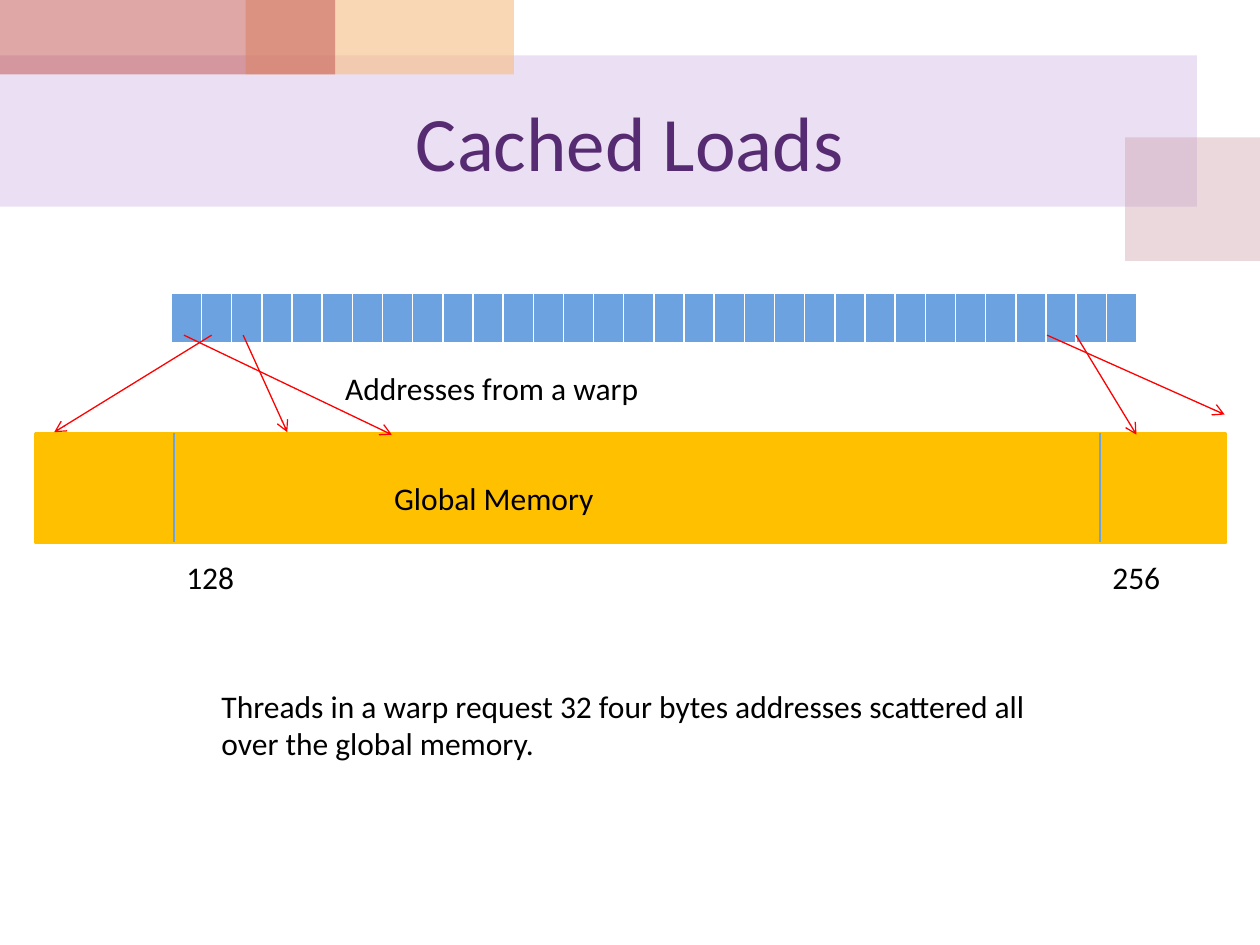
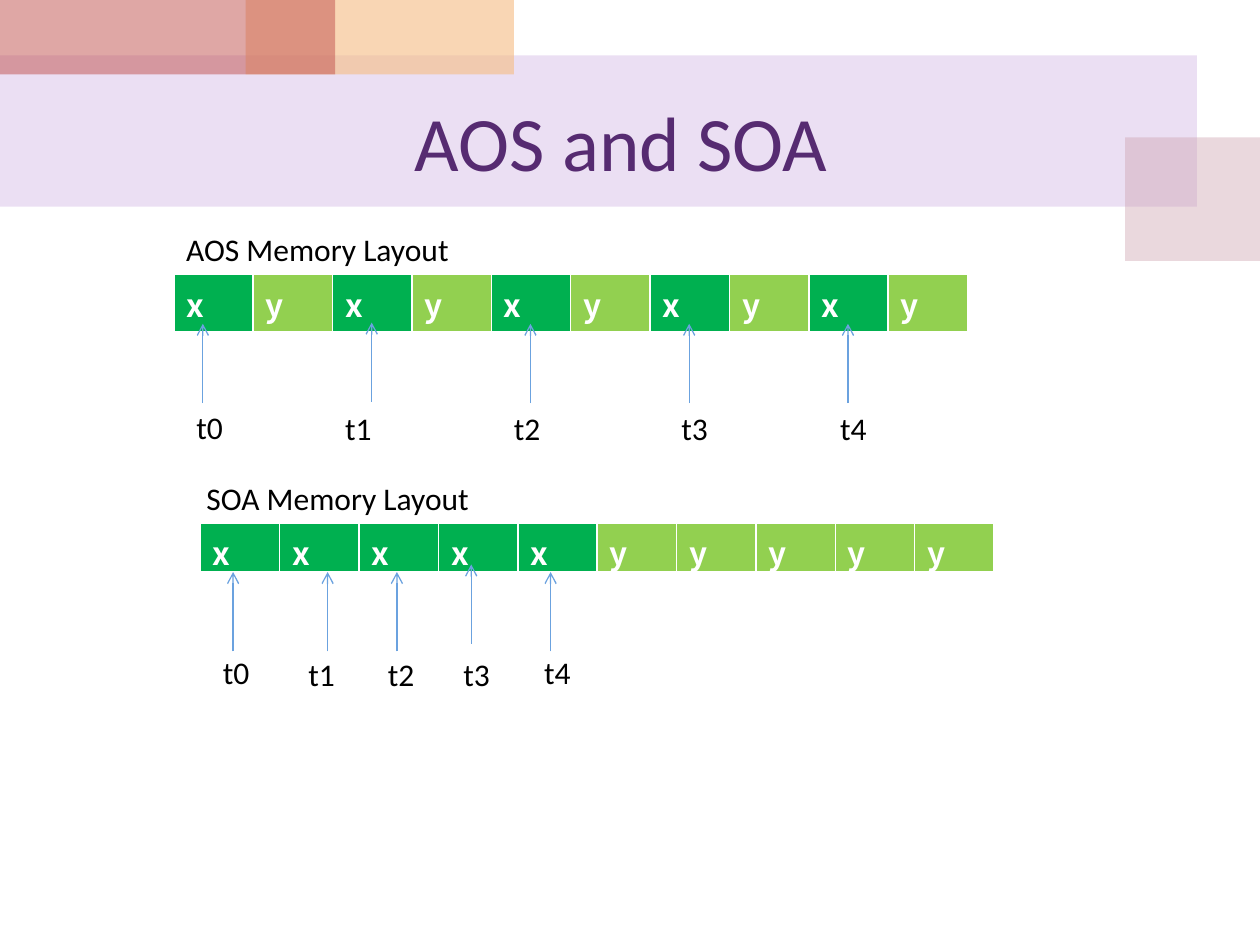
from lxml.etree import SubElement
from pptx import Presentation
from pptx.dml.color import RGBColor
from pptx.enum.shapes import MSO_CONNECTOR, MSO_SHAPE
from pptx.enum.text import MSO_ANCHOR, MSO_AUTO_SIZE, PP_ALIGN
from pptx.oxml.ns import qn
from pptx.util import Inches, Pt

COLORS = {
    "title": "562B71", "text": "000000", "white": "FFFFFF",
    "lilac": "BF98D8", "rose": "CC9EAC", "peach": "F5BC83", "brick": "C0504D",
    "memory": "FFC000", "blue": "6BA2DF", "red": "FF0000",
    "x": "00B050", "y": "92D050",
}
FORMATS = {
    "title": {"name": "Calibri", "size": Pt(44), "color": "title"},
    "label": {"name": "Calibri", "size": Pt(18), "color": "text"},
    "cell": {"name": "Noto Sans CJK KR", "size": Pt(18), "bold": True, "color": "white"},
}
# Master bands, back to front: box, colour, opacity in percent
BANDS = [
    ((0, 0.44, 9.5, 1.2), "lilac", 30),
    ((8.93, 1.09, 1.07, 0.98), "rose", 40),
    ((1.95, 0, 2.13, 0.59), "peach", 60),
    ((0, 0, 2.66, 0.59), "brick", 50),
]
BORDERS = {"lnL": 1, "lnR": 1, "lnT": 1, "lnB": 3}


def rgb(color):
    return RGBColor.from_string(COLORS[color])


def inches(*lengths):
    return [Inches(length) for length in lengths]


class Deck:
    def __init__(self):
        self.prs = Presentation()
        self.prs.slide_width, self.prs.slide_height = inches(10, 7.5)
        self.slide = None

    def style(self, font, kind):
        for attribute, value in FORMATS[kind].items():
            if attribute == "color":
                font.color.rgb = rgb(value)
            else:
                setattr(font, attribute, value)

    def new_slide(self, heading):
        self.slide = self.prs.slides.add_slide(self.prs.slide_layouts[5])
        title = self.slide.shapes.title
        title.left, title.top, title.width, title.height = inches(0.5, 0.59, 9, 1.05)
        frame = title.text_frame
        frame.text = heading
        frame.vertical_anchor = MSO_ANCHOR.MIDDLE
        frame.paragraphs[0].alignment = PP_ALIGN.CENTER
        self.style(frame.paragraphs[0].runs[0].font, "title")

    def rectangle(self, box, color, opacity=100, outline=None):
        rect = self.slide.shapes.add_shape(MSO_SHAPE.RECTANGLE, *inches(*box))
        rect.shadow.inherit = False
        rect.fill.solid()
        rect.fill.fore_color.rgb = rgb(color)
        if opacity < 100:
            tint = rect.element.spPr.find(".//" + qn("a:srgbClr"))
            SubElement(tint, qn("a:alpha"), val=str(opacity * 1000))
        if outline:
            rect.line.color.rgb = rgb(color)
            rect.line.width = Pt(outline)
        else:
            rect.line.fill.background()
        return rect

    def master_bands(self):
        """Draw the bands, then place them behind everything on the master."""
        tree = self.prs.slide_master.shapes.element
        for index, band in enumerate(BANDS):
            element = self.rectangle(*band).element
            element.nvSpPr.cNvPr.set("id", str(101 + index))
            tree.insert(2 + index, element)

    def label(self, text, left, top, width, height=0.4):
        frame = self.slide.shapes.add_textbox(*inches(left, top, width, height)).text_frame
        frame.word_wrap = True
        frame.auto_size = MSO_AUTO_SIZE.SHAPE_TO_FIT_TEXT
        frame.text = text
        self.style(frame.paragraphs[0].runs[0].font, "label")

    def line(self, start, end, color, arrow=True):
        connector = self.slide.shapes.add_connector(
            MSO_CONNECTOR.STRAIGHT, *inches(*start, *end))
        connector.line.color.rgb = rgb(color)
        connector.line.width = Pt(0.75)
        if arrow:
            SubElement(connector.line._get_or_add_ln(), qn("a:tailEnd"), type="arrow")
        SubElement(connector.element.spPr, qn("a:effectLst"))

    def memory_row(self, left, top, cell_width, row_height, fills, texts=""):
        count = len(fills)
        table = self.slide.shapes.add_table(
            1, count, *inches(left, top, cell_width * count, row_height)).table
        table.first_row = table.horz_banding = False
        table.rows[0].height = Inches(row_height)
        for index, fill in enumerate(fills):
            table.columns[index].width = Inches(cell_width)
            cell = table.cell(0, index)
            self.borders(cell)
            cell.fill.solid()
            cell.fill.fore_color.rgb = rgb(fill)
            if texts:
                cell.text = texts[index]
                self.style(cell.text_frame.paragraphs[0].runs[0].font, "cell")

    def borders(self, cell):
        properties = cell._tc.get_or_add_tcPr()
        for side, points in BORDERS.items():
            border = SubElement(properties, qn("a:" + side), w=str(Pt(points)))
            fill = SubElement(border, qn("a:solidFill"))
            SubElement(fill, qn("a:srgbClr"), val=COLORS["white"])


def cached_loads(deck):
    deck.new_slide("Cached Loads")
    deck.master_bands()

    # Global memory and the addresses of one warp
    deck.rectangle((0.28, 3.44, 9.45, 0.87), "memory", outline=1.5)
    deck.memory_row(1.36, 2.33, 0.23, 0.31, ["blue"] * 32)

    # Scattered requests
    for start_x, end in [(1.68, (0.43, 3.43)), (1.93, (2.28, 3.43)),
                         (8.31, (9.72, 3.29)), (8.54, (9.02, 3.45)),
                         (1.46, (3.11, 3.45))]:
        deck.line((start_x, 2.66), end, "red")

    # Segment boundaries
    for address, x, width in [("128", 1.38, 0.79), ("256", 8.73, 0.84)]:
        deck.line((x, 3.44), (x, 4.3), "blue", arrow=False)
        deck.label(address, x, 4.38, width)

    deck.label("Addresses from a warp", 2.64, 2.88, 4.41)
    deck.label("Global Memory", 3.03, 3.75, 2.83)
    deck.label("Threads in a warp request 32 four bytes addresses scattered all "
               "over the global memory.", 1.66, 5.4, 6.83, 0.71)


def aos_and_soa(deck):
    deck.new_slide("AOS and SOA ")

    # Each layout: caption box, row position, fields
    layouts = [
        ("AOS Memory Layout", (1.38, 1.78, 2.44), (1.38, 2.18), "xy" * 5),
        ("SOA Memory Layout", (1.54, 3.75, 2.6), (1.59, 4.15), "x" * 5 + "y" * 5),
    ]
    for caption, caption_box, row_position, fields in layouts:
        deck.memory_row(*row_position, 0.63, 0.39, fields, fields)
        deck.label(caption, *caption_box)

    # Each thread: arrow x and bottom, label left and top
    aos_threads = [(1.61, 3.2, 1.46, 3.19), (2.95, 3.19, 2.64, 3.2),
                   (4.21, 3.2, 3.98, 3.2), (5.47, 3.2, 5.31, 3.2),
                   (6.73, 3.2, 6.57, 3.2)]
    soa_threads = [(1.85, 5.17, 1.67, 5.13), (2.6, 5.17, 2.35, 5.15),
                   (3.15, 5.17, 2.98, 5.15), (3.74, 5.11, 3.58, 5.15),
                   (4.37, 5.17, 4.22, 5.13)]
    for threads in (aos_threads, soa_threads):
        for number, (x, bottom, left, top) in enumerate(threads):
            deck.line((x, bottom), (x, bottom - 0.63), "blue")
            deck.label(f"t{number}", left, top, 0.63)


def main():
    deck = Deck()
    cached_loads(deck)
    aos_and_soa(deck)
    deck.prs.save("out.pptx")


if __name__ == "__main__":
    main()
